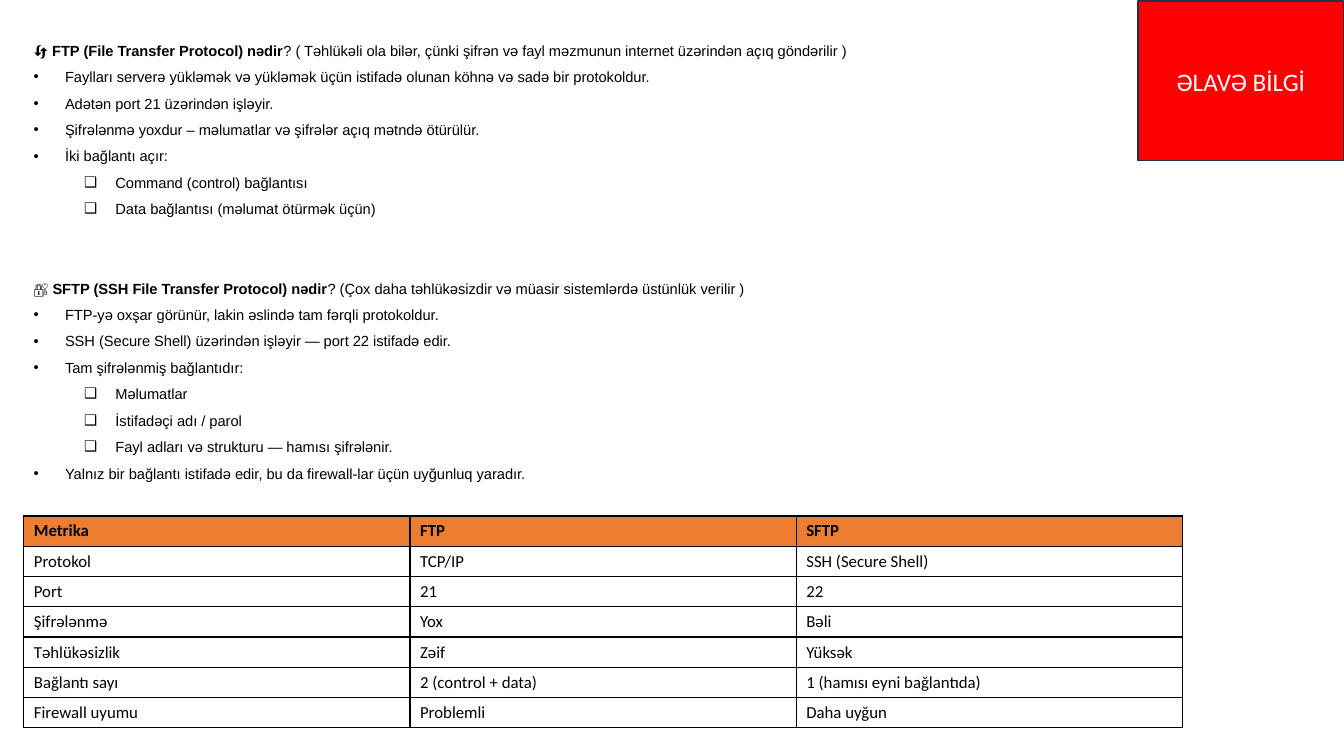
from lxml import etree
from pptx import Presentation
from pptx import util as u
from pptx.dml.color import RGBColor
from pptx.enum import text
from pptx.oxml.ns import qn

PROTOCOLS = [
    ("🔄 ", "FTP (File Transfer Protocol) nədir",
     "? ( Təhlükəli ola bilər, çünki şifrən və fayl məzmunun internet üzərindən açıq göndərilir )",
     [(0, "Faylları serverə yükləmək və yükləmək üçün istifadə olunan köhnə və sadə bir protokoldur."),
      (0, "Adətən port 21 üzərindən işləyir."),
      (0, "Şifrələnmə yoxdur – məlumatlar və şifrələr açıq mətndə ötürülür."),
      (0, "İki bağlantı açır:"),
      (1, "Command (control) bağlantısı"),
      (1, "Data bağlantısı (məlumat ötürmək üçün)")]),
    ("🔐 ", "SFTP (SSH File Transfer Protocol) nədir",
     "? (Çox daha təhlükəsizdir və müasir sistemlərdə üstünlük verilir )",
     [(0, "FTP-yə oxşar görünür, lakin əslində tam fərqli protokoldur."),
      (0, "SSH (Secure Shell) üzərindən işləyir — port 22 istifadə edir."),
      (0, "Tam şifrələnmiş bağlantıdır:"),
      (1, "Məlumatlar"),
      (1, "İstifadəçi adı / parol"),
      (1, "Fayl adları və strukturu — hamısı şifrələnir."),
      (0, "Yalnız bir bağlantı istifadə edir, bu da firewall-lar üçün uyğunluq yaradır.")]),
]

METRICS = [
    ("Metrika", "FTP", "SFTP"),
    ("Protokol", "TCP/IP", "SSH (Secure Shell)"),
    ("Port", "21", "22"),
    ("Şifrələnmə", "Yox", "Bəli"),
    ("Təhlükəsizlik", "Zəif", "Yüksək"),
    ("Bağlantı sayı", "2 (control + data)", "1 (hamısı eyni bağlantıda)"),
    ("Firewall uyumu", "Problemli", "Daha uyğun"),
]

BODY = {"name": "Arial", "size": u.Pt(10.5), "bold": False}
CELL = {"name": "Calibri", "size": u.Pt(12), "bold": False}
LABEL = {"name": "Calibri", "size": u.Pt(18), "bold": False}
BULLETS = [("•", 0.79), ("❑", 2.06)]


def colour(value):
    return RGBColor.from_string(value)


def style(font, values, ink="000000"):
    for name, value in values.items():
        setattr(font, name, value)
    font.color.rgb = colour(ink)


def add_span(para, words, **changes):
    span = para.add_run()
    span.text = words
    style(span.font, {**BODY, **changes})


def set_bullet(para, level):
    mark, indent = BULLETS[level]
    para.level = level
    properties = para._p.get_or_add_pPr()
    properties.set("marL", str(u.Cm(indent)))
    properties.set("indent", str(-u.Cm(0.79)))
    etree.SubElement(properties, qn("a:buFont")).set("typeface", "Arial")
    etree.SubElement(properties, qn("a:buChar")).set("char", mark)


def set_borders(cell):
    properties = cell._tc.get_or_add_tcPr()
    for place, side in enumerate(("lnL", "lnR", "lnT", "lnB")):
        line = etree.Element(qn(f"a:{side}"), w=str(u.Pt(1)))
        fill = etree.SubElement(line, qn("a:solidFill"))
        etree.SubElement(fill, qn("a:srgbClr")).set("val", "000000")
        properties.insert(place, line)


def build_label(page, left, top, width, height):
    label = page.shapes.title
    label.left, label.top, label.width, label.height = left, top, width, height
    label.fill.solid()
    label.fill.fore_color.rgb = colour("FF0000")
    label.line.color.rgb = colour("1E3256")
    label.line.width = u.Pt(1)
    frame = label.text_frame
    frame.text = "ƏLAVƏ BİLGİ"
    frame.auto_size = text.MSO_AUTO_SIZE.NONE
    frame.vertical_anchor = text.MSO_ANCHOR.MIDDLE
    para = frame.paragraphs[0]
    para.alignment = text.PP_ALIGN.CENTER
    style(para.runs[0].font, LABEL, "FFFFFF")


def build_protocols(page, left, top, width, height):
    frame = page.shapes.add_textbox(left, top, width, height).text_frame
    frame.word_wrap = True
    for number, (icon, question, remark, points) in enumerate(PROTOCOLS):
        para = frame.add_paragraph() if number else frame.paragraphs[0]
        para.line_spacing = 1.5
        if number:
            para.space_before = u.Pt(37.8)
        add_span(para, icon)
        add_span(para, question, bold=True)
        add_span(para, remark)
        for level, words in points:
            para = frame.add_paragraph()
            para.line_spacing = 1.5
            set_bullet(para, level)
            add_span(para, words)


def build_metrics(page, left, top, width, height):
    table = page.shapes.add_table(len(METRICS), len(METRICS[0]), left, top, width, height).table
    table.horz_banding = False
    for row, values in enumerate(METRICS):
        for column, words in enumerate(values):
            cell = table.cell(row, column)
            cell.text = words
            cell.vertical_anchor = text.MSO_ANCHOR.MIDDLE
            style(cell.text_frame.paragraphs[0].runs[0].font, {**CELL, "bold": row == 0})
            if row == 0:
                cell.fill.solid()
                cell.fill.fore_color.rgb = colour("ED7D31")
            else:
                cell.fill.background()
            set_borders(cell)


def main():
    deck = Presentation()
    deck.slide_width, deck.slide_height = u.Cm(33.87), u.Cm(19.05)
    page = deck.slides.add_slide(deck.slide_layouts[5])
    build_protocols(page, u.Cm(0.6), u.Cm(0.7), u.Cm(32.66), u.Cm(11.6))
    build_metrics(page, u.Cm(0.6), u.Cm(13), u.Cm(29.2), u.Cm(5.33))
    build_label(page, u.Cm(28.68), u.Cm(0.03), u.Cm(5.18), u.Cm(4.02))
    deck.save("out.pptx")


if __name__ == "__main__":
    main()
